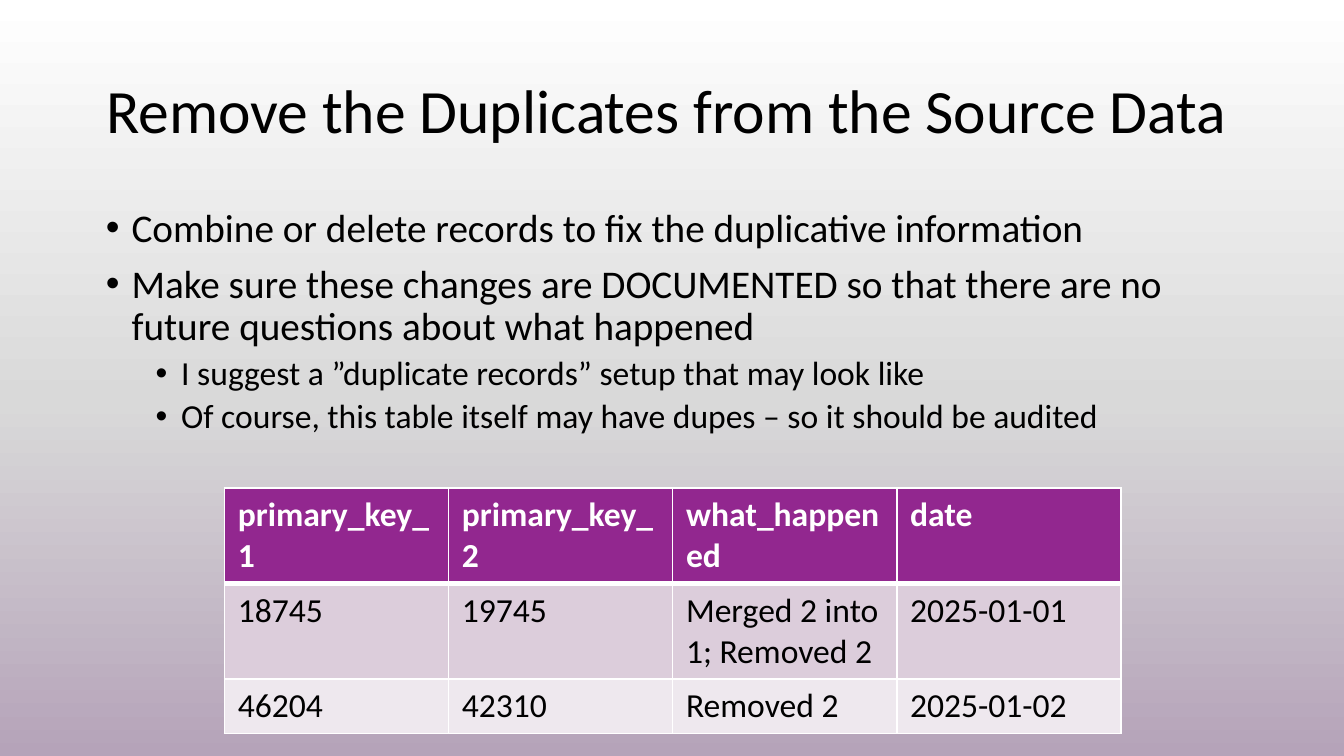
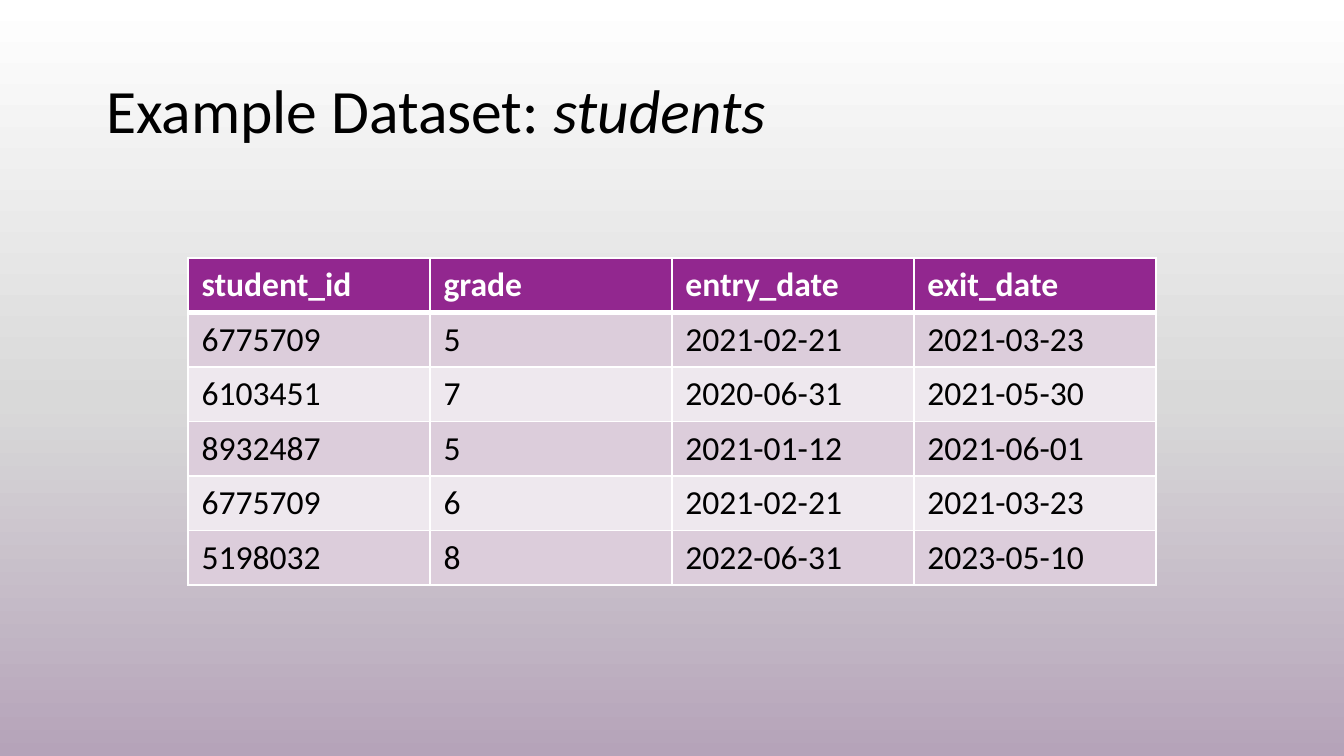
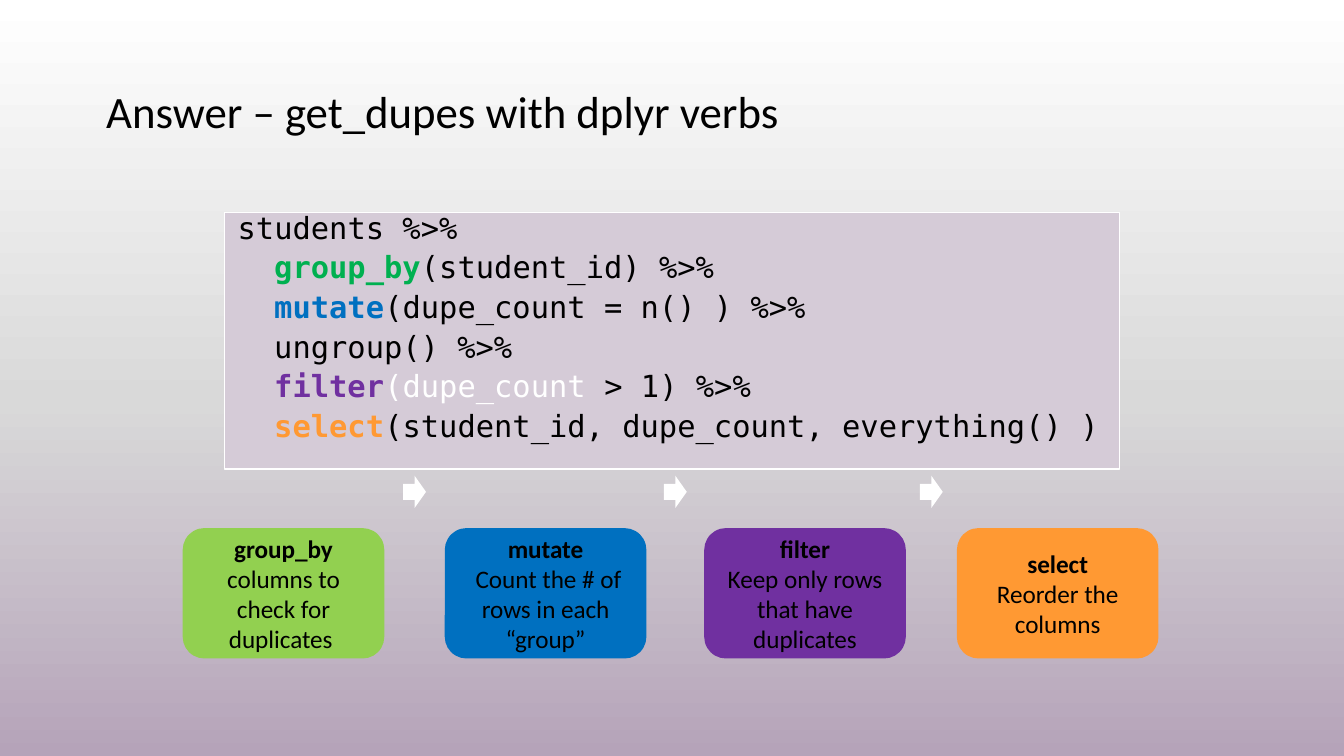
import copy
import dataclasses
import itertools
import typing

import pptx
import pptx.dml.color
import pptx.enum.shapes
import pptx.enum.text
import pptx.oxml
import pptx.oxml.ns
import pptx.util

SHAPE = pptx.enum.shapes.MSO_SHAPE
ANCHOR = pptx.enum.text.MSO_ANCHOR
ALIGN = pptx.enum.text.PP_ALIGN
AUTO_SIZE = pptx.enum.text.MSO_AUTO_SIZE
qn = pptx.oxml.ns.qn

SLIDE_WIDTH = pptx.util.Inches(10)
SLIDE_HEIGHT = SLIDE_WIDTH * 9 // 16
GRID_COLUMNS = 100
CELL = SLIDE_WIDTH // GRID_COLUMNS  # square grid: one column is as wide as one row is high

BODY_FONT = "Calibri"
CODE_FONT = "DejaVu Sans Mono"
BLACK = "000000"
WHITE = "FFFFFF"
HEADER_FILL = "92278F"
BAND_FILLS = ("DCCDDB", "EEE8EE")
CODE_FILL = "D5CBD7"
BACKGROUND_STOPS = ((0, "FFFFFF"), (0.53, "D9D9D9"), (1, "B5A3B9"))


@dataclasses.dataclass
class Box:
    """A rectangle in grid columns and rows."""
    left: float
    top: float
    width: float
    height: float

    def lengths(self) -> list[int]:
        return [round(value * CELL) for value in dataclasses.astuple(self)]


@dataclasses.dataclass
class Run:
    text: str
    color: str = BLACK
    bold: bool = False
    italic: bool = False


@dataclasses.dataclass
class Paragraph:
    runs: list[Run]
    size: float
    font: str = BODY_FONT
    level: int = 0
    indent: float = 0
    hanging: float = 0
    format: dict[str, typing.Any] = dataclasses.field(default_factory=dict)


@dataclasses.dataclass
class Card:
    left: float
    fill: str
    lines: list[list[Run]]


TITLE_BOX = Box(6.9, 3, 86.2, 10.9)
BULLETS_BOX = Box(6.9, 15, 86.2, 35.7)
CODE_BOX = Box(16.7, 15.8, 66.6, 19.1)
CARD_TOP, CARD_WIDTH, CARD_HEIGHT = 39.3, 15, 9.7
ARROW_TOP, ARROW_WIDTH, ARROW_HEIGHT = 35.4, 1.7, 2.4
TABLE_ROW_HEIGHT = 4.05
BULLET_HANGING = 1.9
CODE_INDENT = 2.72

BULLETS = (
    (0, "Combine or delete records to fix the duplicative information"),
    (0, "Make sure these changes are DOCUMENTED so that there are no "
        "future questions about what happened"),
    (1, "I suggest a ”duplicate records” setup that may look like"),
    (1, "Of course, this table itself may have dupes – so it should be audited"),
)
# Per bullet level: indent in columns, text size and space before in points
BULLET_LEVELS = ((1.9, 21, 7.5), (5.6, 18, 3.8))

DUPLICATE_RECORDS = (
    ("primary_key_1", "primary_key_2", "what_happened", "date"),
    ("18745", "19745", "Merged 2 into 1; Removed 2", "2025-01-01"),
    ("46204", "42310", "Removed 2", "2025-01-02"),
)
STUDENTS = (
    ("student_id", "grade", "entry_date", "exit_date"),
    ("6775709", "5", "2021-02-21", "2021-03-23"),
    ("6103451", "7", "2020-06-31", "2021-05-30"),
    ("8932487", "5", "2021-01-12", "2021-06-01"),
    ("6775709", "6", "2021-02-21", "2021-03-23"),
    ("5198032", "8", "2022-06-31", "2023-05-10"),
)

CODE_LINES = (
    [Run("students %>%")],
    [Run("group_by", "00B050", True), Run("(student_id) %>%")],
    [Run("mutate", "0070C0", True), Run("(dupe_count = n() ) %>%")],
    [Run("ungroup() %>%")],
    [Run("filter", "7030A0", True), Run("(dupe_count ", WHITE), Run("> 1) %>%")],
    [Run("select", "FF9933", True), Run("(student_id, dupe_count, everything() )")],
)
CARDS = (
    Card(13.6, "92D050", [[Run("group_by", bold=True),
                           Run(" columns to check for duplicates ")]]),
    Card(33.1, "0070C0", [[Run("mutate", bold=True)],
                          [Run(" Count the # of rows in each “group”")]]),
    Card(52.4, "7030A0", [[Run("filter", bold=True)],
                          [Run("Keep only rows that have duplicates")]]),
    Card(71.2, "FF9933", [[Run("select", bold=True)], [Run("Reorder the columns")]]),
)


def rgb(color: str) -> pptx.dml.color.RGBColor:
    return pptx.dml.color.RGBColor.from_string(color)


def apply_format(target: typing.Any, values: dict[str, typing.Any]) -> None:
    for name, value in values.items():
        setattr(target, name, value)


def set_indent(paragraph: typing.Any, indent: float, hanging: float) -> None:
    """Set the indents in columns; a hanging indent carries a bullet."""
    properties = paragraph._p.get_or_add_pPr()
    properties.set("marL", str(round(indent * CELL)))
    properties.set("indent", str(round(-hanging * CELL)))
    if hanging:
        font = properties.makeelement(qn("a:buFont"), {"typeface": "Arial"})
        bullet = properties.makeelement(qn("a:buChar"), {"char": "•"})
        properties.extend([font, bullet])


def write_text(frame: typing.Any, paragraphs: list[Paragraph], anchor: typing.Any) -> None:
    apply_format(frame, {"word_wrap": True, "auto_size": AUTO_SIZE.NONE,
                         "vertical_anchor": anchor})
    for index, content in enumerate(paragraphs):
        paragraph = frame.add_paragraph() if index else frame.paragraphs[0]
        apply_format(paragraph, {"level": content.level, "alignment": ALIGN.LEFT,
                                 **content.format})
        set_indent(paragraph, content.indent, content.hanging)
        for part in content.runs:
            run = paragraph.add_run()
            run.text = part.text
            apply_format(run.font, {"name": content.font, "size": pptx.util.Pt(content.size),
                                    "bold": part.bold, "italic": part.italic})
            run.font.color.rgb = rgb(part.color)


def paint_background(master: typing.Any) -> None:
    fill = master.background.fill
    fill.gradient()
    fill.gradient_angle = 270
    stop_list = master.element.find(f".//{qn('p:bg')}//{qn('a:gsLst')}")
    stop_list.insert(1, copy.deepcopy(stop_list[0]))
    for stop, (position, color) in zip(fill.gradient_stops, BACKGROUND_STOPS):
        stop.position = position
        stop.color.rgb = rgb(color)


def add_titled_slide(presentation: typing.Any, runs: list[Run], size: float = 33) -> typing.Any:
    slide = presentation.slides.add_slide(presentation.slide_layouts.get_by_name("Title Only"))
    title = slide.shapes.title
    apply_format(title, dict(zip(("left", "top", "width", "height"), TITLE_BOX.lengths())))
    write_text(title.text_frame, [Paragraph(runs, size, format={"line_spacing": 0.9})],
               ANCHOR.MIDDLE)
    return slide


def add_filled_shape(slide: typing.Any, kind: typing.Any, box: Box, fill: str) -> typing.Any:
    """Add a flat shape with no outline."""
    shape = slide.shapes.add_shape(kind, *box.lengths())
    shape.shadow.inherit = False
    shape.fill.solid()
    shape.fill.fore_color.rgb = rgb(fill)
    shape.line.fill.background()
    return shape


def set_borders(cell: typing.Any, top: float, bottom: float) -> None:
    properties = cell._tc.get_or_add_tcPr()
    for side, points in (("L", 1), ("R", 1), ("T", top), ("B", bottom)):
        properties.append(pptx.oxml.parse_xml(
            f'<a:ln{side} {pptx.oxml.ns.nsdecls("a")} w="{pptx.util.Pt(points)}">'
            f'<a:solidFill><a:srgbClr val="{WHITE}"/></a:solidFill></a:ln{side}>'))


def add_data_table(slide: typing.Any, rows: tuple, left: float, top: float,
                   width: float) -> None:
    """Add a table with a bold header and banded rows."""
    box = Box(left, top, width, TABLE_ROW_HEIGHT * len(rows))
    table = slide.shapes.add_table(len(rows), len(rows[0]), *box.lengths()).table
    for row_index, row in enumerate(rows):
        header = row_index == 0
        fill = HEADER_FILL if header else BAND_FILLS[(row_index - 1) % 2]
        for column_index, text in enumerate(row):
            cell = table.cell(row_index, column_index)
            set_borders(cell, 3 if row_index == 1 else 1, 3 if header else 1)
            cell.fill.solid()
            cell.fill.fore_color.rgb = rgb(fill)
            run = Run(text, WHITE if header else BLACK, header)
            write_text(cell.text_frame, [Paragraph([run], 18)], ANCHOR.TOP)


def add_bullets(slide: typing.Any) -> None:
    paragraphs = []
    for level, text in BULLETS:
        indent, size, space = BULLET_LEVELS[level]
        paragraphs.append(Paragraph(
            [Run(text)], size, level=level, indent=indent, hanging=BULLET_HANGING,
            format={"line_spacing": 0.9, "space_before": pptx.util.Pt(space)}))
    text_box = slide.shapes.add_textbox(*BULLETS_BOX.lengths())
    write_text(text_box.text_frame, paragraphs, ANCHOR.TOP)


def add_code(slide: typing.Any) -> None:
    shape = add_filled_shape(slide, SHAPE.RECTANGLE, CODE_BOX, CODE_FILL)
    shape.line.color.rgb = rgb(WHITE)
    shape.line.width = pptx.util.Pt(0.75)
    spacing = {"line_spacing": 0.7, "space_before": pptx.util.Pt(7.5)}
    paragraphs = [Paragraph(runs, 16.3, CODE_FONT, indent=CODE_INDENT if index else 0,
                            format=spacing)
                  for index, runs in enumerate(CODE_LINES)]
    write_text(shape.text_frame, paragraphs, ANCHOR.TOP)


def add_cards(slide: typing.Any) -> None:
    """Add the verb cards, with an arrow above the middle of each gap."""
    for card in CARDS:
        box = Box(card.left, CARD_TOP, CARD_WIDTH, CARD_HEIGHT)
        shape = add_filled_shape(slide, SHAPE.ROUNDED_RECTANGLE, box, card.fill)
        paragraphs = [Paragraph(runs, 13.5, format={"alignment": ALIGN.CENTER})
                      for runs in card.lines]
        write_text(shape.text_frame, paragraphs, ANCHOR.MIDDLE)
    for card, following in itertools.pairwise(CARDS):
        middle = (card.left + CARD_WIDTH + following.left) / 2
        box = Box(middle - ARROW_WIDTH / 2, ARROW_TOP, ARROW_WIDTH, ARROW_HEIGHT)
        add_filled_shape(slide, SHAPE.RIGHT_ARROW, box, WHITE)


def main() -> None:
    presentation = pptx.Presentation()
    apply_format(presentation, {"slide_width": SLIDE_WIDTH, "slide_height": SLIDE_HEIGHT})
    paint_background(presentation.slide_master)

    slide = add_titled_slide(presentation, [Run("Remove the Duplicates from the Source Data")])
    add_bullets(slide)
    add_data_table(slide, DUPLICATE_RECORDS, 16.7, 36.3, 66.7)

    slide = add_titled_slide(presentation, [Run("Example Dataset: "),
                                            Run("students", italic=True)])
    add_data_table(slide, STUDENTS, 14, 19.2, 72)

    slide = add_titled_slide(presentation, [Run("Answer – get_dupes with dplyr verbs")], 24)
    add_code(slide)
    add_cards(slide)

    presentation.save("out.pptx")


if __name__ == "__main__":
    main()
